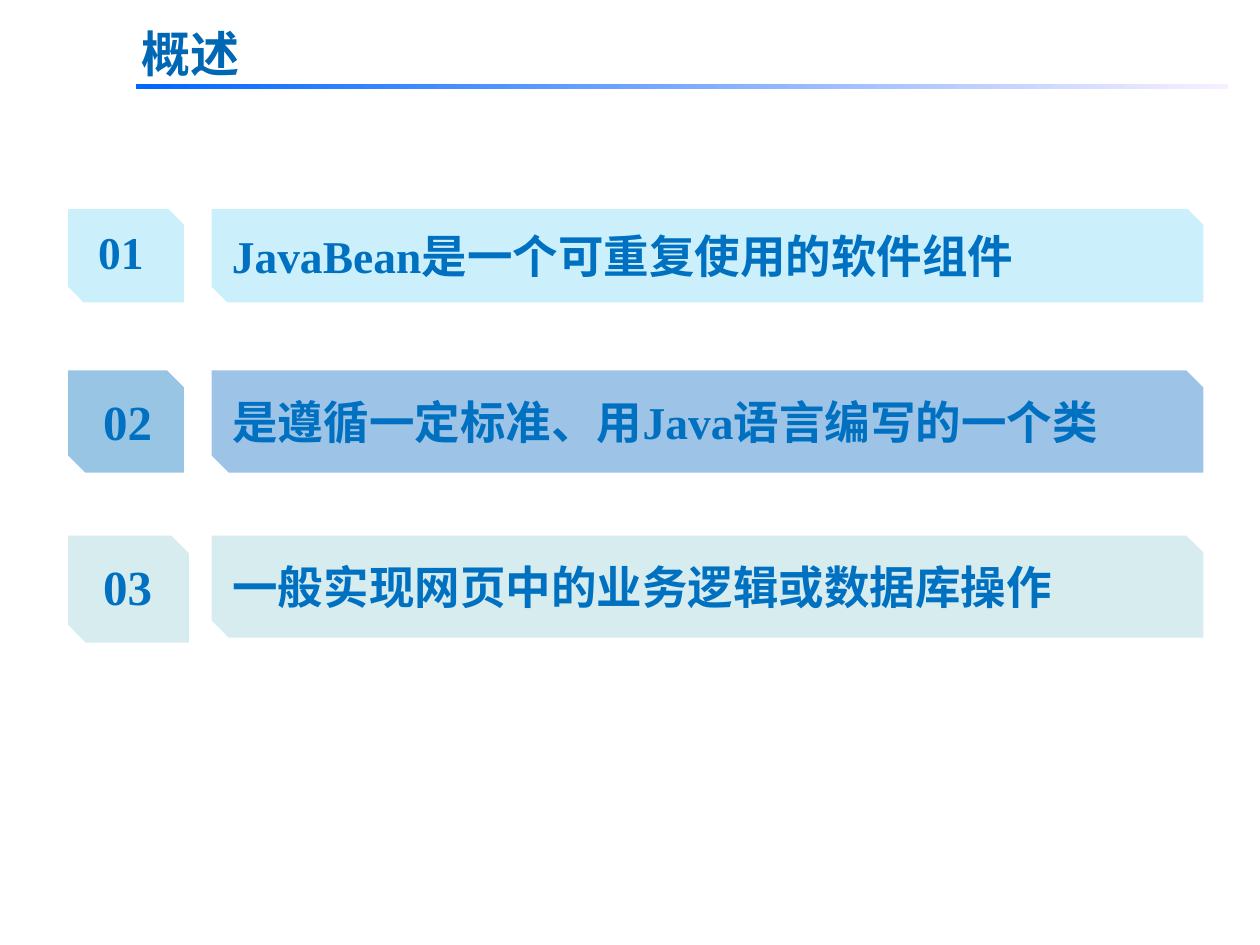
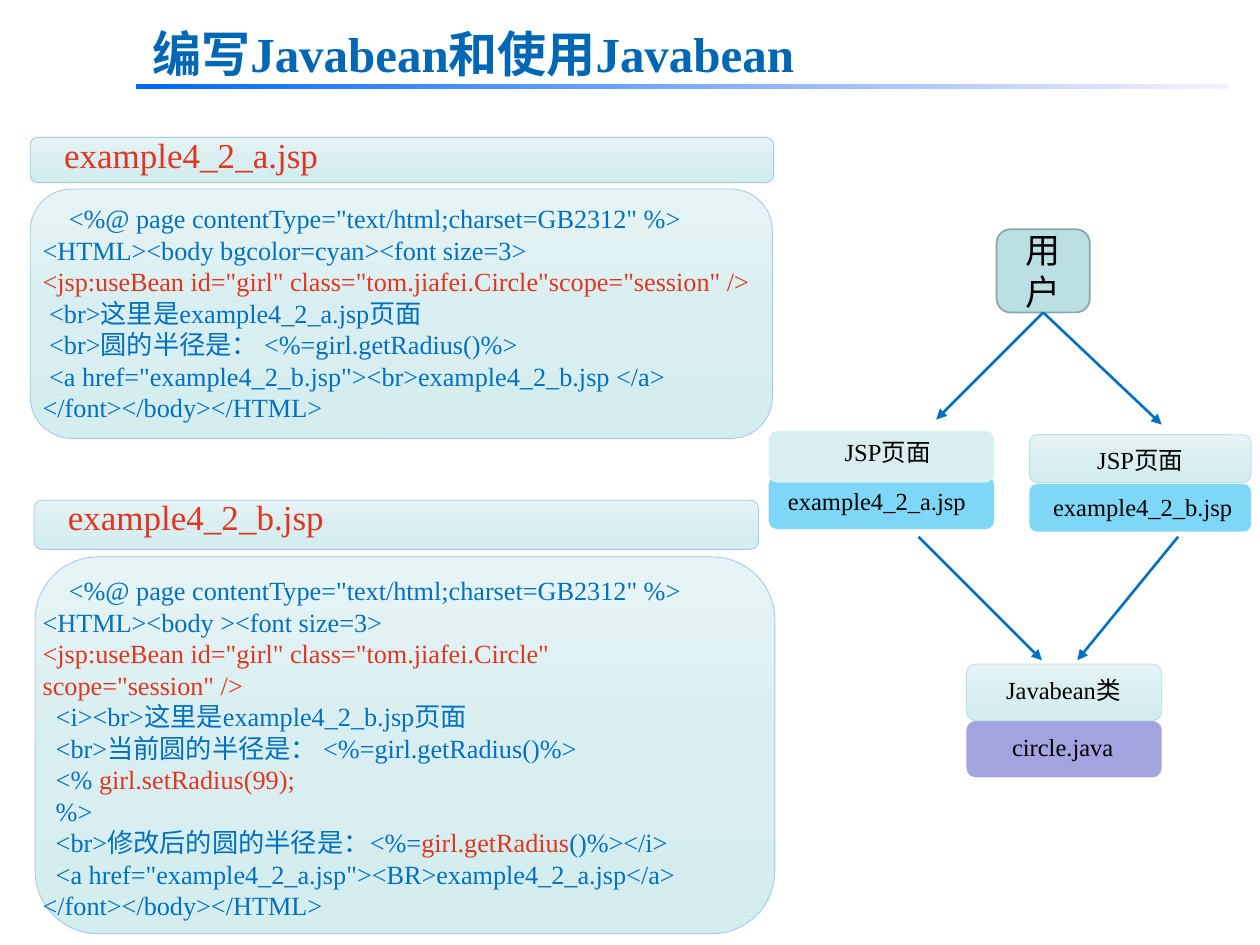
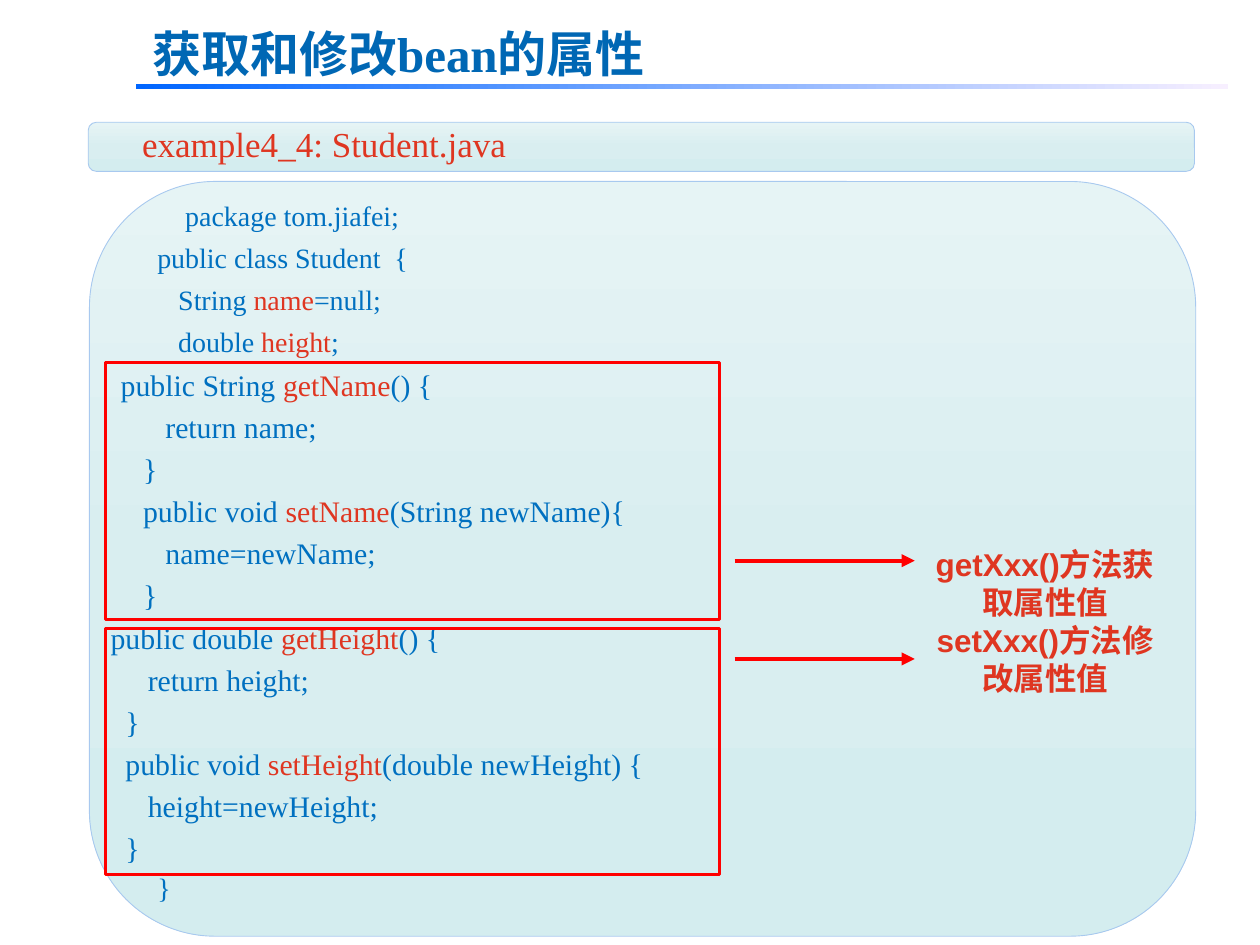
import copy

import pptx
import pptx.dml.color
import pptx.enum.shapes
import pptx.enum.text
import pptx.oxml
import pptx.util

Inches = pptx.util.Inches
Pt = pptx.util.Pt
Shape = pptx.enum.shapes.MSO_SHAPE
Align = pptx.enum.text.PP_ALIGN
Anchor = pptx.enum.text.MSO_ANCHOR

FONT = "Times New Roman"
HUES = {
    "title": "0067B4", "blue": "0070C0", "red": "DF3621", "black": "000000",
    "frame": "FF0000", "sky": "00B0F0", "steel": "9DC3E6", "mist": "D6ECEE",
    "pale": "D9EEF0", "aqua": "7FD7F7", "lilac": "A3A3E0", "teal": "BBE0E3",
    "slate": "8AA6A8", "edge": "A8C9EF",
}
BAND = ["0066FF", "F7EFFF"]
GLASS = ["E6F4F5", "D9EEF0", "D4EDEF"]
POINTS = [
    ("01", "JavaBean是一个可重复使用的软件组件", 1.66, 0.74, ("sky", 20), ("sky", 20)),
    ("02", "是遵循一定标准、用Java语言编写的一个类", 2.94, 0.81, ("blue", 40), ("steel", 100)),
    ("03", "一般实现网页中的业务逻辑或数据库操作", 4.25, 0.81, ("mist", 100), ("mist", 100)),
]
PAGE_A = [
    ['    <%@ page contentType="text/html;charset=GB2312" %>'],
    ["<HTML><body bgcolor=cyan><font size=3>"],
    ["", '<jsp:useBean id="girl" class="tom.jiafei.Circle"scope="session" />'],
    [" <br>这里是example4_2_a.jsp页面"],
    [" <br>圆的半径是： <%=girl.getRadius()%>"],
    [' <a href="example4_2_b.jsp"><br>example4_2_b.jsp </a>'],
    ["</font></body></HTML>"],
]
PAGE_B = [
    ['    <%@ page contentType="text/html;charset=GB2312" %>'],
    ["<HTML><body ><font size=3>"],
    ["", '<jsp:useBean id="girl" class="tom.jiafei.Circle" scope="session" />'],
    ["  <i><br>这里是example4_2_b.jsp页面"],
    ["  <br>当前圆的半径是： <%=girl.getRadius()%>"],
    ["  <% ", "girl.setRadius(99);"],
    ["  %>"],
    ["  <br>修改后的圆的半径是：<%=", "girl.getRadius", "()%></i>"],
    ['  <a href="example4_2_a.jsp"><BR>example4_2_a.jsp</a>'],
    ["</font></body></HTML>"],
]
FIELDS = [
    ["    package tom.jiafei;"],
    ["public class Student  {"],
    ["   String ", "name", "=null;"],
    ["   double ", "height", ";"],
]
NAME = [
    ["public String ", "getName", "() {"],
    ["      return name;"],
    ["   }"],
    ["   public void ", "setName", "(String newName){"],
    ["      name=newName;"],
    ["   }"],
]
HEIGHT = [
    [" public double ", "getHeight", "() {"],
    ["      return height;"],
    ["   }"],
    ["   public void ", "setHeight", "(double newHeight) {"],
    ["      height=newHeight;"],
    ["   }"],
]


def tint(hue):
    return pptx.dml.color.RGBColor.from_string(HUES.get(hue, hue))


def fade(shape, stops, angle):
    shape.fill.gradient()
    shape.fill.gradient_angle = angle
    stop_list = shape._element.spPr.xpath(".//a:gsLst")[0]
    while len(stop_list) < len(stops):
        stop_list.append(copy.deepcopy(stop_list[-1]))
    for i, (stop, hue) in enumerate(zip(shape.fill.gradient_stops, stops)):
        stop.position = i / (len(stops) - 1)
        stop.color.rgb = tint(hue)


def paint(shape, hue, alpha=100):
    shape.fill.solid()
    shape.fill.fore_color.rgb = tint(hue)
    if alpha < 100:
        colour = shape._element.spPr.xpath("./a:solidFill/a:srgbClr")[0]
        tag = pptx.oxml.ns.qn("a:alpha")
        colour.makeelement(tag, {})
        node = pptx.oxml.parse_xml(
            '<a:alpha xmlns:a="http://schemas.openxmlformats.org/drawingml/2006/main"'
            f' val="{alpha * 1000}"/>')
        colour.append(node)


def block(slide, kind, at, fill=None, alpha=100, angle=270, line=None, width=0.5):
    shape = slide.shapes.add_shape(kind, *map(Inches, at))
    shape.shadow.inherit = False
    if isinstance(fill, list):
        fade(shape, fill, angle)
    elif fill:
        paint(shape, fill, alpha)
    else:
        shape.fill.background()
    if line:
        shape.line.color.rgb = tint(line)
        shape.line.width = Pt(width)
    else:
        shape.line.fill.background()
    return shape


def write(shape, lines, size, hues, bold=False, align=Align.LEFT,
          anchor=Anchor.TOP, pitch=None, font=FONT):
    frame = shape.text_frame
    frame.word_wrap = True
    frame.auto_size = pptx.enum.text.MSO_AUTO_SIZE.NONE
    frame.vertical_anchor = anchor
    for i, line in enumerate(lines):
        para = frame.add_paragraph() if i else frame.paragraphs[0]
        para.alignment = align
        if pitch:
            para.line_spacing = Pt(pitch)
        for j, part in enumerate(line):
            if part:
                run = para.add_run()
                run.text = part
                run.font.name = font
                run.font.size = Pt(size)
                run.font.bold = bold
                run.font.color.rgb = tint(hues[j % len(hues)])


def label(slide, at, lines, size, hues, **style):
    box = slide.shapes.add_textbox(*map(Inches, at))
    write(box, lines, size, hues, **style)


def code(slide, at, lines, size, pitch=None):
    label(slide, at, lines, size, ["blue", "red"], pitch=pitch)


def tag(slide, at, words):
    label(slide, at, [[words]], 14, ["black"], align=Align.CENTER)


def panel(slide, bar, body, words, at, pitch=None):
    for place in (bar, body):
        block(slide, Shape.ROUNDED_RECTANGLE, place, GLASS, line="edge")
    label(slide, at, [[words]], 20, ["red"], pitch=pitch)


def arrow(slide, start, end, hue, width, source=None):
    line = slide.shapes.add_connector(
        pptx.enum.shapes.MSO_CONNECTOR.STRAIGHT, *map(Inches, start + end))
    line.line.color.rgb = tint(hue)
    line.line.width = Pt(width)
    pen = line.line._get_or_add_ln()
    head = pen.makeelement(pptx.oxml.ns.qn("a:tailEnd"), {"type": "triangle"})
    pen.append(head)
    props = line._element.spPr
    props.append(props.makeelement(pptx.oxml.ns.qn("a:effectLst"), {}))
    if source:
        line.begin_connect(source, 2)


def page(deck, words, left):
    slide = deck.slides.add_slide(deck.slide_layouts[5])
    title = slide.shapes.title
    title.left, title.top, title.width, title.height = map(
        Inches, (left, 0.14, 7.29, 0.57))
    write(title, [[words]], 28, ["title"], bold=True)
    block(slide, Shape.RECTANGLE, (1.08, 0.67, 8.67, 0.04), BAND, angle=0)
    return slide


def outline(deck):
    slide = page(deck, "概述", 1.02)
    snip = Shape.SNIP_2_DIAG_RECTANGLE
    for i, (mark, words, top, high, badge, bar) in enumerate(POINTS):
        size = 28 if i else 26
        last = i == 2
        block(slide, snip, (0.54, top, 0.96 if last else 0.92,
                            0.85 if last else high), *badge)
        strip = block(slide, snip, (1.68, top, 7.87, high), *bar)
        write(strip, [[words]], 26, ["blue"], bold=True, anchor=Anchor.MIDDLE)
        at = (0.72, top + 0.12, 0.85, 0.57) if i else (0.68, 1.73, 0.85, 0.54)
        label(slide, at, [[mark]], size, ["blue"], bold=True)


def flow(slide):
    round_box = Shape.ROUNDED_RECTANGLE
    block(slide, round_box, (6.1, 3.78, 1.79, 0.42), "aqua")
    block(slide, round_box, (6.1, 3.42, 1.79, 0.41), "pale")
    block(slide, round_box, (8.17, 3.84, 1.76, 0.38), "sky", 50)
    block(slide, round_box, (8.17, 3.45, 1.76, 0.38), GLASS, line="teal")
    block(slide, round_box, (7.67, 5.72, 1.55, 0.45), "lilac")
    block(slide, round_box, (7.67, 5.27, 1.55, 0.45), GLASS, line="teal")
    user = block(slide, round_box, (7.91, 1.82, 0.74, 0.66), "teal",
                 line="slate", width=1)
    write(user, [["用户"]], 20, ["black"], align=Align.CENTER, anchor=Anchor.MIDDLE)
    for end in ((7.43, 3.33), (9.22, 3.37)):
        arrow(slide, (8.28, 2.48), end, "blue", 1.5, user)
    for start, end in (((7.29, 4.26), (8.27, 5.24)), ((9.35, 4.26), (8.55, 5.24))):
        arrow(slide, start, end, "blue", 1.5)
    tag(slide, (6.52, 3.42, 1.05, 0.34), "JSP页面")
    tag(slide, (5.95, 3.81, 2.02, 0.34), "example4_2_a.jsp")
    tag(slide, (8.58, 3.48, 0.94, 0.34), "JSP页面")
    tag(slide, (8.08, 3.86, 1.98, 0.34), "example4_2_b.jsp")
    tag(slide, (7.83, 5.31, 1.22, 0.34), "Javabean类")
    tag(slide, (7.91, 5.76, 1.05, 0.34), "circle.java")


def usage(deck):
    slide = page(deck, "编写Javabean和使用Javabean", 1.11)
    panel(slide, (0.24, 1.09, 5.9, 0.36), (0.24, 1.5, 5.89, 1.98),
          "example4_2_a.jsp", (0.41, 1.01, 3.22, 0.44))
    code(slide, (0.24, 1.56, 5.83, 1.88), PAGE_A, 15)
    panel(slide, (0.27, 3.97, 5.75, 0.39), (0.28, 4.42, 5.87, 2.99),
          "example4_2_b.jsp", (0.44, 3.88, 3.13, 0.44))
    code(slide, (0.24, 4.51, 5.79, 2.89), PAGE_B, 15)
    flow(slide)


def access(deck):
    slide = page(deck, "获取和修改bean的属性", 1.11)
    panel(slide, (0.7, 0.97, 8.78, 0.39), (0.71, 1.44, 8.78, 5.99),
          "example4_4: Student.java", (1.03, 0.91, 4.34, 0.45), 25)
    code(slide, (1.15, 1.46, 7.89, 1.43), FIELDS, 16, 24)
    code(slide, (0.86, 2.81, 5.37, 2.12), NAME, 17, 24)
    code(slide, (0.72, 4.82, 5.1, 2.12), HEIGHT, 17, 24)
    code(slide, (1.15, 6.79, 1, 0.43), [["}"]], 16, 24)
    for top, high in ((2.88, 2.04), (4.99, 1.95)):
        block(slide, Shape.RECTANGLE, (0.84, top, 4.87, high),
              line="frame", width=1.75)
    for y in (4.45, 5.23):
        arrow(slide, (5.83, y), (7.26, y), "frame", 2.5)
    label(slide, (7.23, 4.28, 2.13, 1.31),
          [["getXxx()方法获取属性值"], ["setXxx()方法修改属性值"]],
          18, ["red"], bold=True, align=Align.CENTER, font="Arial")


def main():
    deck = pptx.Presentation()
    deck.slide_width, deck.slide_height = Inches(10), Inches(7.5)
    outline(deck)
    usage(deck)
    access(deck)
    deck.save("out.pptx")


if __name__ == "__main__":
    main()
